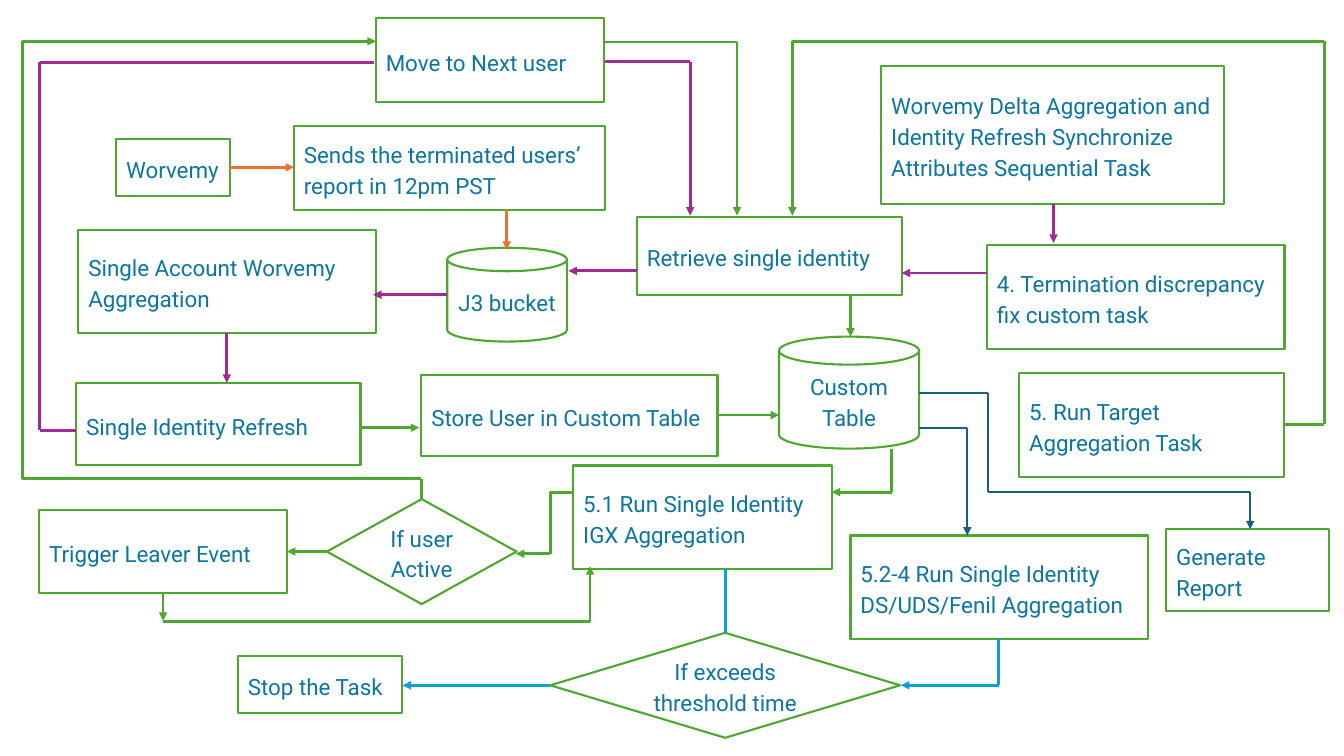
from itertools import pairwise

from lxml.etree import SubElement
from pptx import Presentation
from pptx.dml.color import RGBColor
from pptx.enum.shapes import MSO_CONNECTOR as Link, MSO_SHAPE as Form
from pptx.enum.text import MSO_ANCHOR as Anchor, PP_ALIGN as Align
from pptx.oxml.ns import qn
from pptx.util import Pt

WHITE = RGBColor(0xFF, 0xFF, 0xFF)
TEAL = RGBColor(0x0B, 0x76, 0xA0)
GREEN = RGBColor(0x4E, 0xA7, 0x2E)
ORANGE = RGBColor(0xE9, 0x71, 0x32)
PURPLE = RGBColor(0xA0, 0x2B, 0x93)
SKY = RGBColor(0x0F, 0x9E, 0xD5)
NAVY = RGBColor(0x15, 0x60, 0x82)


class FlowSlide:
    """Draws flowchart steps and routes on one slide in a shared style."""

    FONT = {"name": "Roboto", "size": Pt(16)}
    PARAGRAPH = {"line_spacing": 1.15, "space_after": Pt(8)}
    FRAME = {"word_wrap": True, "vertical_anchor": Anchor.MIDDLE}

    def __init__(self, slide):
        self.shapes = slide.shapes

    @staticmethod
    def apply(target, values):
        for name, value in values.items():
            setattr(target, name, value)

    def step(self, words, left, top, width, height, form=Form.RECTANGLE):
        step = self.shapes.add_shape(form, Pt(left), Pt(top), Pt(width), Pt(height))
        step.shadow.inherit = False
        step.fill.solid()
        step.fill.fore_color.rgb = WHITE
        step.line.color.rgb = GREEN
        step.line.width = Pt(1.5)
        self.apply(step.text_frame, self.FRAME)
        paragraph = step.text_frame.paragraphs[0]
        self.apply(paragraph, self.PARAGRAPH)
        paragraph.alignment = Align.LEFT if form == Form.RECTANGLE else Align.CENTER
        run = paragraph.add_run()
        run.text = words
        self.apply(run.font, self.FONT)
        run.font.color.rgb = TEAL

    def route(self, color, *points, weight=2, arrow=True):
        for start, end in pairwise(points):
            leg = self.shapes.add_connector(Link.STRAIGHT, *map(Pt, start + end))
            leg.line.color.rgb = color
            leg.line.width = Pt(weight)
            SubElement(leg._element.spPr, qn("a:effectLst"))
        if arrow:
            SubElement(leg._element.spPr.get_or_add_ln(), qn("a:tailEnd"), type="triangle")


STEPS = [
    ("Worvemy", 83, 99.5, 81.5, 40.5),
    ("Sends the terminated users’ report in 12pm PST", 210, 90, 222, 60),
    ("J3 bucket", 319.5, 177, 85.5, 67, Form.CAN),
    ("4. Termination discrepancy fix custom task", 705, 175, 212.5, 74),
    ("Worvemy Delta Aggregation and Identity Refresh Synchronize Attributes Sequential Task",
     629.5, 47, 245, 98.5),
    ("Retrieve single identity", 455, 155, 189.5, 55.5),
    ("Single Account Worvemy Aggregation", 56, 164, 212.5, 74),
    ("Single Identity Refresh", 54.5, 273.5, 203, 59),
    ("Custom Table", 556.5, 240.5, 100, 80, Form.CAN),
    ("Store User in Custom Table", 301, 268, 211.5, 57.5),
    ("5. Run Target Aggregation Task", 728, 266.5, 189.5, 74),
    ("5.1 Run Single Identity IGX Aggregation", 409.5, 332.5, 184.5, 74),
    ("If user Active", 233.5, 356.5, 135.5, 75, Form.DIAMOND),
    ("Trigger Leaver Event", 28, 364.5, 177, 59),
    ("Move to Next user", 268.5, 13, 163, 60),
    ("5.2-4 Run Single Identity DS/UDS/Fenil Aggregation", 607.5, 382.5, 212.5, 74),
    ("Generate Report", 833, 378, 116.5, 58.5),
    ("If exceeds threshold time", 393, 452, 250, 75, Form.DIAMOND),
    ("Stop the Task", 170, 468.5, 117.5, 40.5),
]

ARROWS = [
    (ORANGE, (164.5, 119.5), (210, 119.5)),
    (ORANGE, (362, 149.5), (362, 178.5)),
    (PURPLE, (752.5, 145.5), (752.5, 173.5)),
    (PURPLE, (705, 195), (644, 195)),
    (PURPLE, (455, 193.5), (406, 193.5)),
    (PURPLE, (319.5, 210.5), (266.5, 210.5)),
    (PURPLE, (162, 238), (162, 273.5)),
    (PURPLE, (432, 44), (493, 44), (493, 154)),
    (GREEN, (431.5, 30), (526.5, 30), (526.5, 154)),
    (GREEN, (917.5, 303), (946, 303), (946, 29.5), (566, 29.5), (566, 154)),
    (GREEN, (301, 356.5), (301, 342), (16, 342), (16, 29.5), (268.5, 29.5)),
    (GREEN, (257.5, 305.5), (299.5, 305.5)),
    (GREEN, (512.5, 296.5), (556.5, 296.5)),
    (GREEN, (607.5, 211.5), (607.5, 240.5)),
    (GREEN, (637, 320.5), (637, 351.5), (594, 351.5)),
    (GREEN, (409.5, 351.5), (393, 351.5), (393, 395.5), (368.5, 395.5)),
    (GREEN, (233.5, 394), (205, 394)),
    (GREEN, (116.5, 424), (116.5, 443.5)),
    (GREEN, (116.5, 444), (421.5, 444), (421.5, 404.5)),
    (SKY, (713.5, 456), (713.5, 489.5), (643.5, 489.5)),
    (SKY, (393, 489.5), (287.5, 489.5)),
]

deck = Presentation()
deck.slide_width, deck.slide_height = Pt(960), Pt(540)
flow = FlowSlide(deck.slides.add_slide(deck.slide_layouts[6]))
for step in STEPS:
    flow.step(*step)
for arrow in ARROWS:
    flow.route(*arrow)
flow.route(PURPLE, (54.5, 307.5), (28.5, 307.5), (28.5, 44.5), (267, 44.5), arrow=False)
flow.route(SKY, (518.5, 406.5), (518.5, 452), arrow=False)
flow.route(NAVY, (656.5, 281), (705.5, 281), (705.5, 351.5), (893, 351.5), (893, 378), weight=1.5)
flow.route(NAVY, (656.5, 305.5), (691, 305.5), (691, 382.5), weight=1.5)
deck.save("out.pptx")
